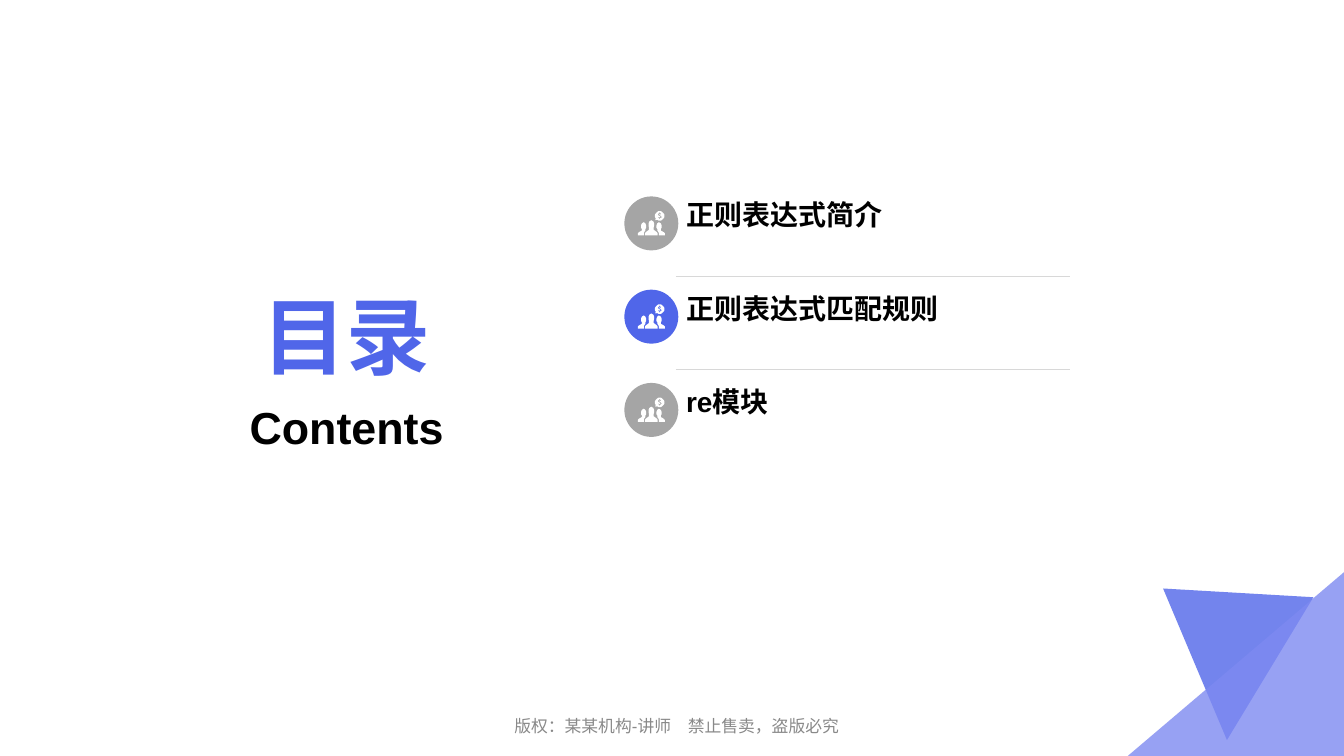
from dataclasses import dataclass
from math import cos, radians, sin

from pptx import Presentation
from pptx.dml.color import RGBColor
from pptx.enum.shapes import MSO_CONNECTOR, MSO_SHAPE
from pptx.enum.text import MSO_ANCHOR, MSO_AUTO_SIZE, PP_ALIGN
from pptx.oxml.ns import qn
from pptx.util import Cm, Emu, Pt


@dataclass(frozen=True)
class Theme:
    font: str = "Arial"
    accent: str = "5066E9"
    light_accent: str = "7E8AF1"
    muted: str = "A5A5A5"
    rule: str = "D8D8D8"
    footer: str = "898989"
    black: str = "000000"
    white: str = "FFFFFF"
    title_size: int = 60
    subtitle_size: int = 32
    item_size: int = 20
    footer_size: int = 12


THEME = Theme()
ITEMS = ["正则表达式简介", "正则表达式匹配规则", "re模块"]
CURRENT_ITEM = 1
ITEM_PITCH = 2.35
ITEM_LINE = Pt(29)
BADGE_LEFT, BADGE_TOP, BADGE_SIZE = 15.74, 4.95, 1.36
LIST_LEFT, LIST_WIDTH = 17.04, 9.93

# Outlines are in hundredths of a centimetre.
SIDE_PERSON = [(0, 61), (0, 56), (3, 53), (10, 49), (10, 45), (8, 42), (8, 36),
               (10, 31), (15, 28), (19, 31), (21, 36), (21, 42), (19, 45),
               (19, 49), (16, 53), (15, 56), (15, 61)]
MIDDLE_PERSON = [(18, 61), (18, 56), (20, 53), (28, 47), (28, 41), (27, 37),
                 (27, 31), (29, 26), (34, 23), (39, 26), (41, 31), (41, 37),
                 (40, 41), (40, 47), (48, 53), (50, 56), (50, 61)]
DOLLAR = [(59, 7), (56, 5), (56, 3), (54, 3), (54, 5), (51, 7), (51, 10),
          (57, 14), (56, 16), (52, 15), (51, 17), (54, 18), (54, 20), (56, 20),
          (56, 18), (60, 16), (59, 13), (54, 9), (55, 7), (58, 9)]
TRIANGLE = [(3311, 1505), (3093, 1865), (2932, 1483)]
CORNER = [(3388, 1905), (2843, 1905), (3388, 1442)]


def speech_bubble():
    """Circle outline with a tail at the lower left."""
    return [(55 + r * cos(radians(a)), 12 + r * sin(radians(a)))
            for a in range(0, 360, 15) for r in [16 if a == 135 else 12]]


def paint(sp, color):
    sp.shadow.inherit = False
    sp.fill.solid()
    sp.fill.fore_color.rgb = RGBColor.from_string(color)
    sp.line.fill.background()


def set_opacity(sp, percent):
    color = sp.fill._xPr.find(qn("a:solidFill"))[0]
    alpha = color.makeelement(qn("a:alpha"), {"val": str(percent * 1000)})
    color.append(alpha)


def add_outline(s, contours, color, left=0, top=0):
    """Draw closed contours as one shape, offset by left and top in cm."""
    first, *others = contours
    builder = s.shapes.build_freeform(*first[0], scale=Cm(0.01))
    builder.add_line_segments(first[1:], close=True)
    for contour in others:
        builder.move_to(*contour[0])
        builder.add_line_segments(contour[1:], close=True)
    sp = builder.convert_to_shape(Cm(left), Cm(top))
    paint(sp, color)
    return sp


def add_badge(s, top, color):
    disc = s.shapes.add_shape(MSO_SHAPE.OVAL, Cm(BADGE_LEFT), Cm(top),
                              Cm(BADGE_SIZE), Cm(BADGE_SIZE))
    paint(disc, color)
    mirrored = [(68 - x, y) for x, y in SIDE_PERSON]
    people = [SIDE_PERSON, MIDDLE_PERSON, mirrored, speech_bubble(), DOLLAR]
    add_outline(s, people, THEME.white, BADGE_LEFT + 0.34, top + 0.37)


def add_rule(s, top):
    line = s.shapes.add_connector(MSO_CONNECTOR.STRAIGHT, Cm(LIST_LEFT), Cm(top),
                                  Cm(LIST_LEFT + LIST_WIDTH), Cm(top))
    line.line.color.rgb = RGBColor.from_string(THEME.rule)
    line.line.width = Pt(0.25)
    sp_pr = line._element.spPr
    sp_pr.append(sp_pr.makeelement(qn("a:effectLst"), {}))


def place(sp, left, top, width, height):
    sp.left, sp.top, sp.width, sp.height = map(Cm, (left, top, width, height))


def format_text(sp, size, color, bold=True, align=PP_ALIGN.CENTER,
                anchor=MSO_ANCHOR.TOP):
    tf = sp.text_frame
    tf.word_wrap = True
    tf.auto_size = MSO_AUTO_SIZE.NONE
    tf.vertical_anchor = anchor
    for p in tf.paragraphs:
        p.alignment = align
        for r in p.runs:
            r.font.name = THEME.font
            r.font.size = Pt(size)
            r.font.bold = bold
            r.font.color.rgb = RGBColor.from_string(color)


def add_label(s, text, box, size, color, **style):
    sp = s.shapes.add_textbox(*map(Cm, box))
    sp.text_frame.text = text
    format_text(sp, size, color, **style)
    return sp


def fill_list(body):
    place(body, LIST_LEFT, 4.81, LIST_WIDTH, 5.75)
    tf = body.text_frame
    tf.text = "\n".join(ITEMS)
    tf.margin_top = tf.margin_bottom = 0
    format_text(body, THEME.item_size, THEME.black, align=PP_ALIGN.LEFT)
    for p in tf.paragraphs:
        p.line_spacing = ITEM_LINE
        p.space_before = Pt(0)
        p.space_after = Emu(Cm(ITEM_PITCH) - ITEM_LINE)
        p_pr = p._p.get_or_add_pPr()
        p_pr.set("marL", "0")
        p_pr.set("indent", "0")
        p_pr.append(p_pr.makeelement(qn("a:buNone"), {}))


def main():
    prs = Presentation()
    prs.slide_width, prs.slide_height = Cm(33.88), Cm(19.05)
    s = prs.slides.add_slide(prs.slide_layouts[1])

    title = s.shapes.title
    place(title, 5.31, 6.65, 6.86, 3.18)
    title.text_frame.text = "目录"
    format_text(title, THEME.title_size, THEME.accent, anchor=MSO_ANCHOR.BOTTOM)
    add_label(s, "Contents", (5.31, 9.96, 6.86, 1.4),
              THEME.subtitle_size, THEME.black)

    for outline, color in [(TRIANGLE, THEME.accent), (CORNER, THEME.light_accent)]:
        set_opacity(add_outline(s, [outline], color), 80)

    fill_list(s.placeholders[1])
    for i in range(len(ITEMS)):
        color = THEME.accent if i == CURRENT_ITEM else THEME.muted
        add_badge(s, BADGE_TOP + i * ITEM_PITCH, color)
        if i:
            add_rule(s, 4.61 + i * ITEM_PITCH)

    footer = add_label(s, "版权：某某机构-讲师　禁止售卖，盗版必究",
                       (11.56, 17.78, 11, 0.9), THEME.footer_size, THEME.footer,
                       bold=False, anchor=MSO_ANCHOR.MIDDLE)
    footer.text_frame.paragraphs[0].line_spacing = 1.2

    prs.save("out.pptx")


if __name__ == "__main__":
    main()
